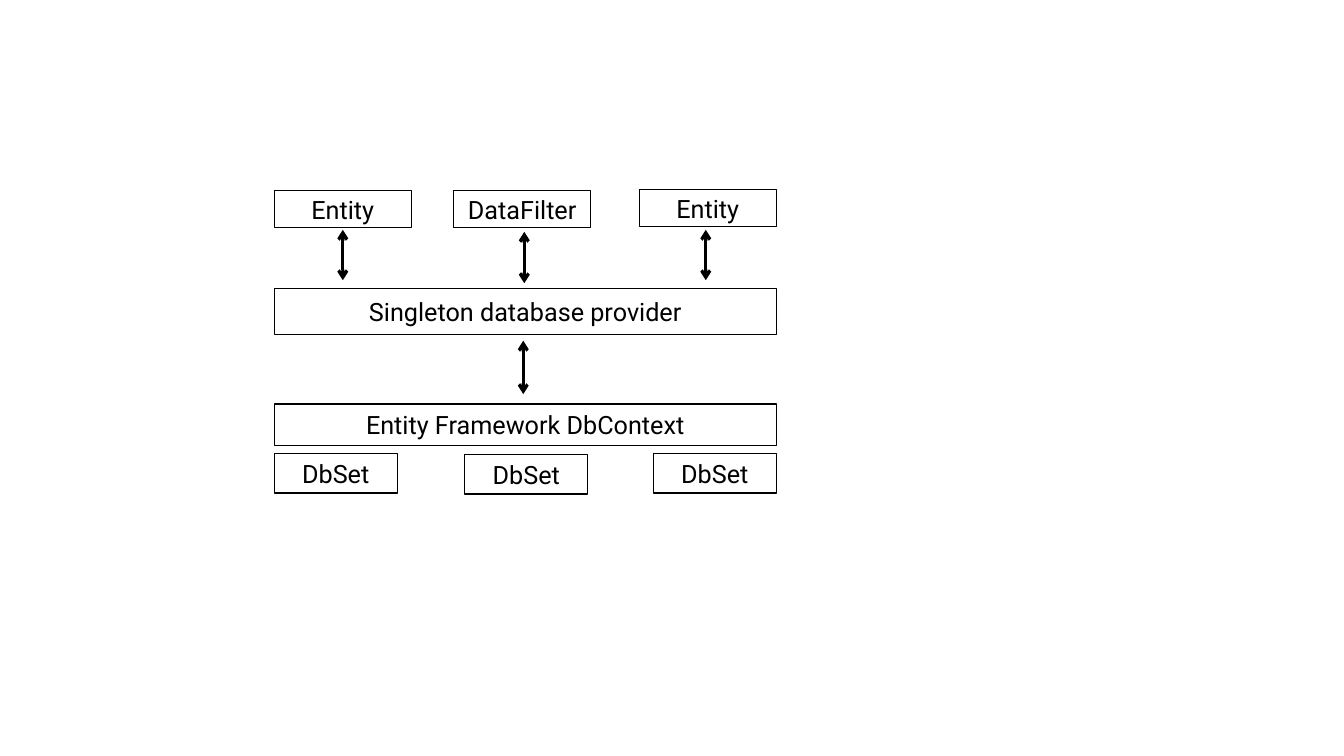
"""Draw the layers between entities and the database context."""
import pptx
import pptx.dml.color
import pptx.enum.shapes
import pptx.enum.text
import pptx.oxml
import pptx.oxml.ns
import pptx.util

Inches = pptx.util.Inches


def colour(code):
    """Turn a hex string into a colour."""
    return pptx.dml.color.RGBColor.from_string(code)


class Diagram:
    """Hold the style and the current slide."""

    font = "Roboto"
    size = 18
    ink = "000000"
    border = 1
    stroke = 2.25

    def __init__(self, page):
        """Keep the slide to draw on."""
        self.page = page

    def box(self, text, left, top, width, height):
        """Add an outlined box with a centred label."""
        box = self.page.shapes.add_shape(
            pptx.enum.shapes.MSO_SHAPE.RECTANGLE,
            Inches(left), Inches(top), Inches(width), Inches(height))
        box.shadow.inherit = False
        box.fill.background()
        box.line.color.rgb = colour(self.ink)
        box.line.width = pptx.util.Pt(self.border)
        frame = box.text_frame
        frame.text = text
        frame.word_wrap = True
        frame.vertical_anchor = pptx.enum.text.MSO_ANCHOR.MIDDLE
        para = frame.paragraphs[0]
        para.alignment = pptx.enum.text.PP_ALIGN.CENTER
        for span in para.runs:
            span.font.name = self.font
            span.font.size = pptx.util.Pt(self.size)
            span.font.color.rgb = colour(self.ink)

    def arrow(self, centre, bottom, top):
        """Add a vertical arrow with a head at each end."""
        arrow = self.page.shapes.add_connector(
            pptx.enum.shapes.MSO_CONNECTOR.STRAIGHT,
            Inches(centre), Inches(bottom), Inches(centre), Inches(top))
        arrow.line.color.rgb = colour(self.ink)
        arrow.line.width = pptx.util.Pt(self.stroke)
        outline = arrow.line._get_or_add_ln()
        for end in ("a:headEnd", "a:tailEnd"):
            head = pptx.oxml.parse_xml(
                f'<{end} {pptx.oxml.ns.nsdecls("a")} type="arrow"/>')
            outline.append(head)
        arrow._element.spPr.append(pptx.oxml.parse_xml(
            f'<a:effectLst {pptx.oxml.ns.nsdecls("a")}/>'))


def main():
    """Build and save the slide."""
    deck = pptx.Presentation()
    deck.slide_width = Inches(13.33)
    deck.slide_height = Inches(7.5)
    diagram = Diagram(deck.slides.add_slide(deck.slide_layouts[6]))

    left, width = 2.72, 4.98
    diagram.box("Singleton database provider", left, 2.86, width, 0.46)
    diagram.box("Entity Framework DbContext", left, 4.01, width, 0.41)

    for set_left, top in ((left, 4.5), (4.61, 4.51), (6.48, 4.5)):
        diagram.box("DbSet", set_left, top, 1.22, 0.39)

    for text, source_left, top in (("Entity", left, 1.89),
                                   ("DataFilter", 4.5, 1.89),
                                   ("Entity", 6.34, 1.88)):
        diagram.box(text, source_left, top, 1.36, 0.37)

    for centre, bottom, top in ((3.4, 2.78, 2.28), (5.2, 2.81, 2.3),
                                (7, 2.78, 2.28), (5.19, 3.91, 3.38)):
        diagram.arrow(centre, bottom, top)

    deck.save("out.pptx")


if __name__ == "__main__":
    main()
